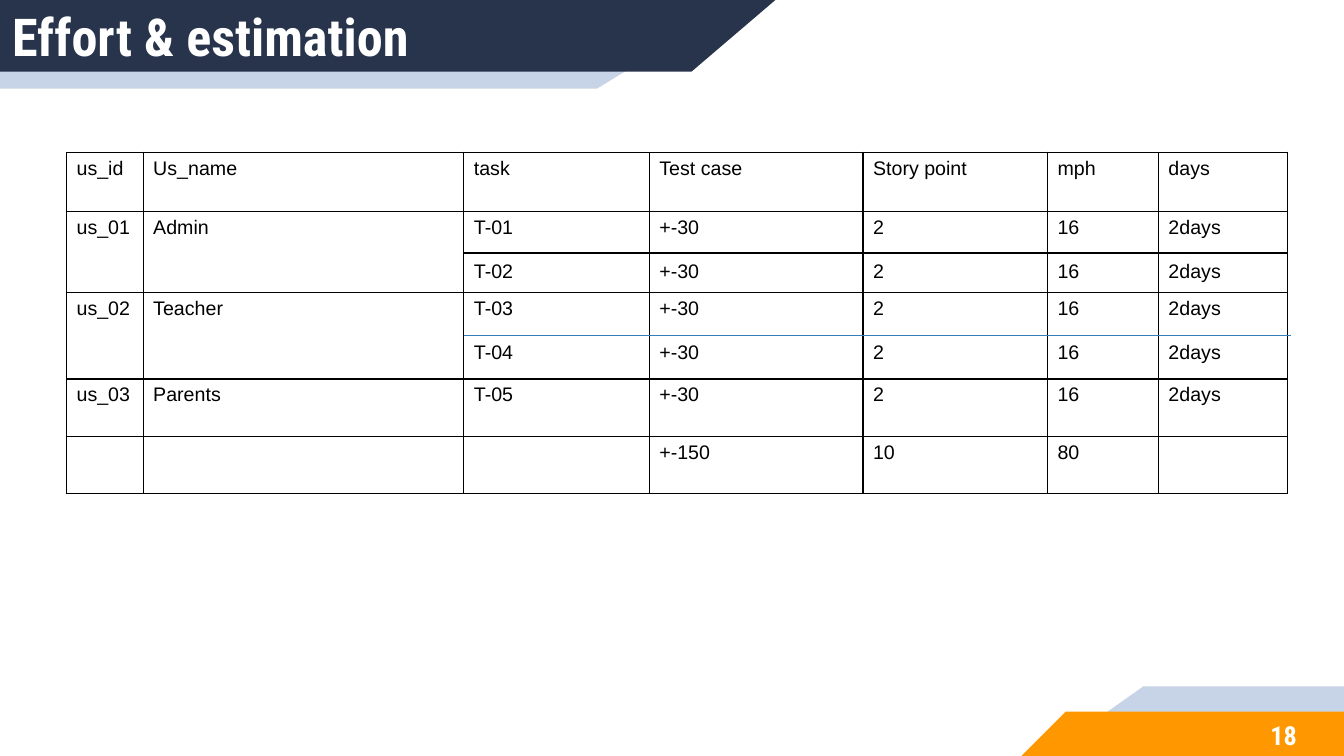
from pptx import Presentation
from pptx.dml.color import RGBColor
from pptx.enum.shapes import MSO_CONNECTOR
from pptx.enum.text import MSO_ANCHOR, PP_ALIGN
from pptx.oxml import parse_xml
from pptx.oxml.ns import nsdecls
from pptx.util import Inches, Pt
from lxml.etree import SubElement

NAVY = RGBColor(0x28, 0x34, 0x4B)
PALE_BLUE = RGBColor(0xC7, 0xD3, 0xE6)
ORANGE = RGBColor(0xFF, 0x98, 0x00)
BLUE = RGBColor(0x36, 0x7E, 0xB9)
WHITE = RGBColor(0xFF, 0xFF, 0xFF)
BLACK = RGBColor(0, 0, 0)
HEADING_FONT = "Roboto Condensed"
WIDTH, HEIGHT = 13.33, 7.5

# Content: a tuple in a cell holds one line per task
TITLE = "Effort & estimation"
PAGE_NUMBER = "18"
ROWS = [
    ["us_id", "Us_name", "task", "Test case", "Story point", "mph", "days"],
    ["us_01", "Admin", ("T-01", "T-02"), ("+-30",) * 2, ("2",) * 2, ("16",) * 2, ("2days",) * 2],
    ["us_02", "Teacher", ("T-03", "T-04"), ("+-30",) * 2, ("2",) * 2, ("16",) * 2, ("2days",) * 2],
    ["us_03", "Parents", "T-05", "+-30", "2", "16", "2days"],
    ["", "", "", "+-150", "10", "80", ""],
]
COLUMN_WIDTHS = [0.76, 3.18, 1.84, 2.12, 1.83, 1.1, 1.28]
ROW_HEIGHTS = [0.59, 0.8, 0.86, 0.57, 0.57]
TABLE_LEFT, TABLE_TOP = 0.66, 1.51

# Slanted bands, back to front: colour and corners
BANDS = [
    (PALE_BLUE, [(0, 0), (7.36, 0), (5.92, 0.88), (0, 0.88)]),
    (NAVY, [(0, 0), (7.69, 0), (6.86, 0.71), (0, 0.71)]),
    (PALE_BLUE, [(11.34, 6.81), (WIDTH, 6.81), (WIDTH, HEIGHT), (10.36, HEIGHT)]),
    (ORANGE, [(10.57, 7.06), (WIDTH, 7.06), (WIDTH, HEIGHT), (10.13, HEIGHT)]),
]
# Lines between two tasks of one story: colour, right end, height
TASK_LINES = [(BLACK, 12.77, 2.51), (BLUE, 12.8, 3.33)]


def add_band(page, color, corners):
    points = [(Inches(x), Inches(y)) for x, y in corners]
    builder = page.shapes.build_freeform(*points[0])
    builder.add_line_segments(points[1:], close=True)
    band = builder.convert_to_shape()
    band.shadow.inherit = False
    band.fill.solid()
    band.fill.fore_color.rgb = color
    band.line.fill.background()


def add_heading(page, text, place, size, margins, align):
    box = page.shapes.add_textbox(*map(Inches, place))
    frame = box.text_frame
    frame.word_wrap = True
    frame.vertical_anchor = MSO_ANCHOR.MIDDLE
    frame.margin_left, frame.margin_top, frame.margin_right, frame.margin_bottom = map(Inches, margins)
    para = frame.paragraphs[0]
    para.text = text
    para.alignment = align
    para.font.name = HEADING_FONT
    para.font.size = Pt(size)
    para.font.bold = True
    para.font.color.rgb = WHITE


def fill_cell(cell, content):
    lines = content if isinstance(content, tuple) else (content,)
    frame = cell.text_frame
    frame.text = "\n".join(lines)
    for index, para in enumerate(frame.paragraphs):
        para.font.name = "Arial"
        para.font.size = Pt(14)
        para.font.color.rgb = BLACK
        if index:
            para.space_before = Pt(16)
    cell.fill.background()
    properties = cell._tc.get_or_add_tcPr()
    for position, side in enumerate("LRTB"):
        properties.insert(position, parse_xml(
            f'<a:ln{side} {nsdecls("a")} w="{Pt(1)}"><a:solidFill>'
            f'<a:srgbClr val="{BLACK}"/></a:solidFill></a:ln{side}>'))


def add_estimates(page):
    table = page.shapes.add_table(
        len(ROWS), len(COLUMN_WIDTHS), Inches(TABLE_LEFT), Inches(TABLE_TOP),
        Inches(sum(COLUMN_WIDTHS)), Inches(sum(ROW_HEIGHTS))).table
    table.first_row = table.horz_banding = False
    for column, width in zip(table.columns, COLUMN_WIDTHS):
        column.width = Inches(width)
    for row, height, contents in zip(table.rows, ROW_HEIGHTS, ROWS):
        row.height = Inches(height)
        for cell, content in zip(row.cells, contents):
            fill_cell(cell, content)


def add_task_line(page, color, right, y):
    left = TABLE_LEFT + sum(COLUMN_WIDTHS[:2])
    line = page.shapes.add_connector(
        MSO_CONNECTOR.STRAIGHT, Inches(left), Inches(y), Inches(right), Inches(y))
    line.line.color.rgb = color
    line.line.width = Pt(0.75)
    SubElement(line._element.spPr, "{http://schemas.openxmlformats.org/drawingml/2006/main}effectLst")


def main():
    deck = Presentation()
    deck.slide_width, deck.slide_height = Inches(WIDTH), Inches(HEIGHT)
    page = deck.slides.add_slide(deck.slide_layouts[6])

    # Bands, title and page number
    for color, corners in BANDS:
        add_band(page, color, corners)
    add_heading(page, TITLE, (0, 0.04, 7.36, 0.63), 37.3, (0.12, 0, 0, 0), PP_ALIGN.LEFT)
    add_heading(page, PAGE_NUMBER, (12.29, 7.07, 0.88, 0.45), 18.7, (0.1,) * 4, PP_ALIGN.CENTER)

    # Table and task lines
    add_estimates(page)
    for color, right, y in TASK_LINES:
        add_task_line(page, color, right, y)
    deck.save("out.pptx")


if __name__ == "__main__":
    main()
